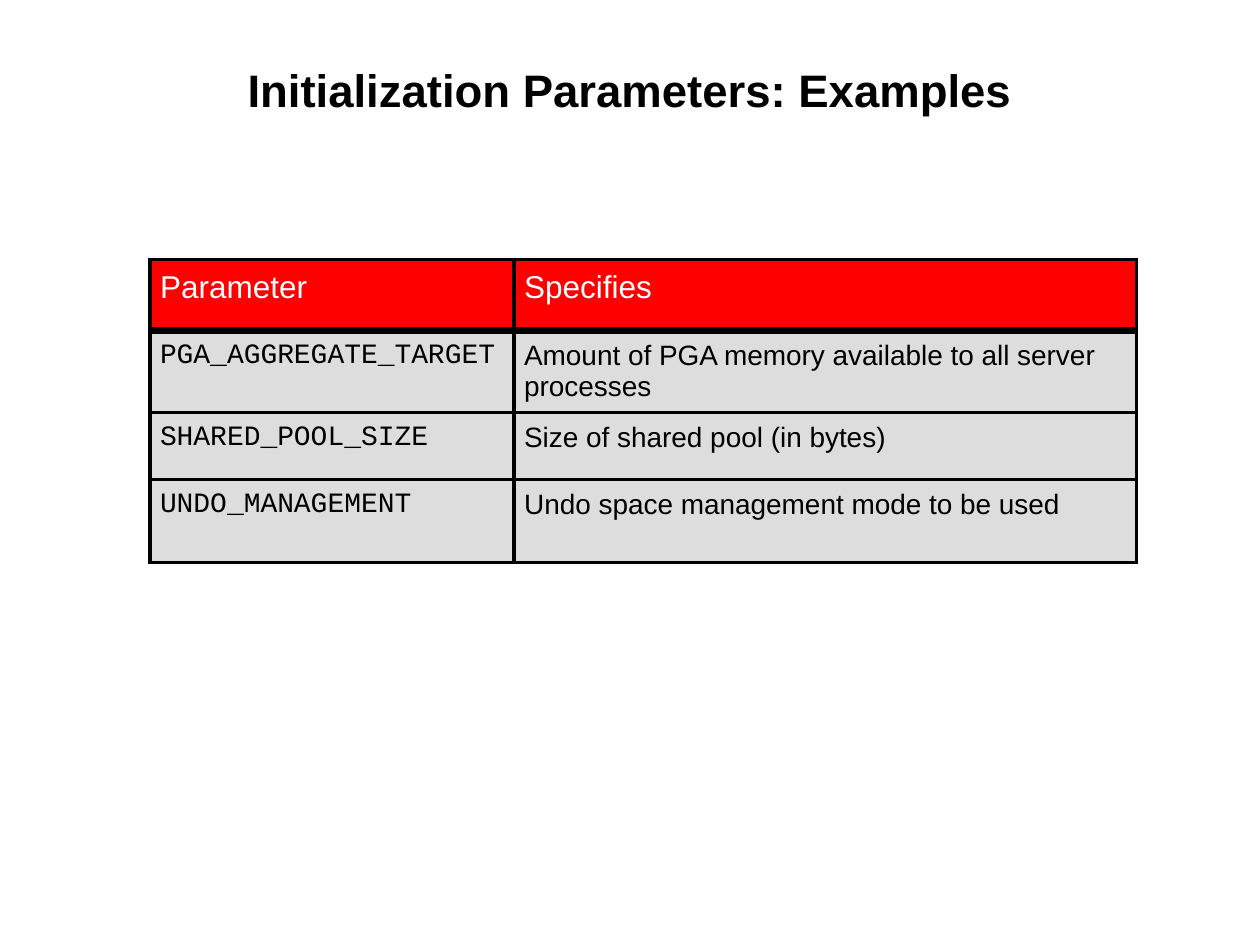
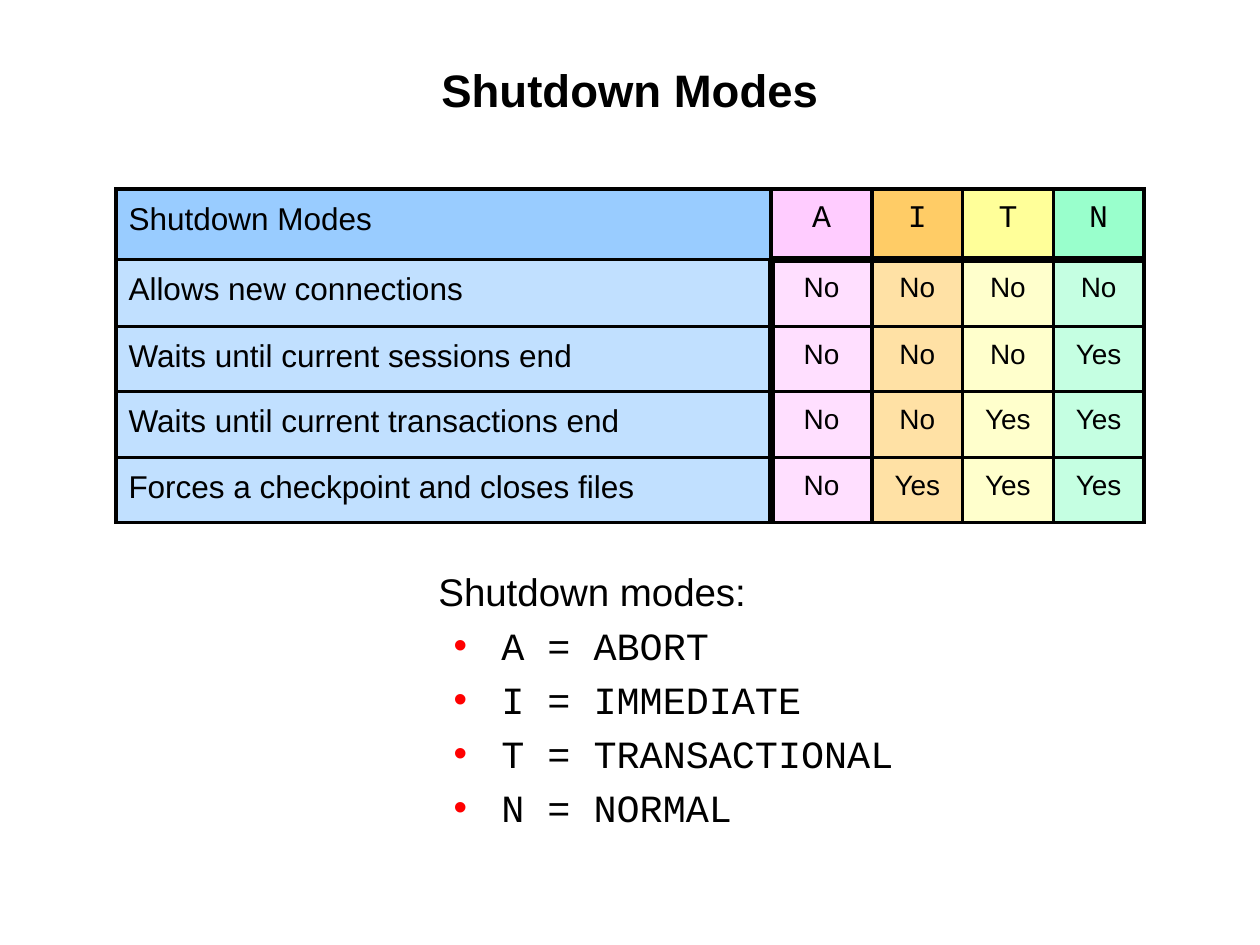
from lxml.etree import SubElement
from pptx import Presentation
from pptx.dml.color import RGBColor
from pptx.enum.text import MSO_ANCHOR, MSO_AUTO_SIZE, PP_ALIGN
from pptx.oxml import parse_xml
from pptx.oxml.ns import nsdecls, qn
from pptx.util import Inches, Pt

COLORS = {
    "text": "000000",
    "header_text": "FFFFFF",
    "header": "FF0000",
    "body": "DDDDDD",
    "bullet": "FF0000",
    "border": "000000",
}
# Header and body fill of each column of the shutdown table
MODE_FILLS = [
    ("99CCFF", "C1E0FF"),
    ("FFCCFF", "FFDFFF"),
    ("FFCC66", "FFE1A5"),
    ("FFFF99", "FFFFCC"),
    ("99FFCC", "C5FFE2"),
]
SANS, MONO = "Arial", "Courier New"
THIN, THICK = Pt(2.25), Pt(4.5)


def format_paragraph(paragraph, size, font=SANS, color=COLORS["text"],
                     alignment=PP_ALIGN.LEFT, bold=False, bullet=False):
    """Apply the shared 20 % space before, an optional bullet and the font."""
    paragraph.alignment = alignment
    properties = paragraph._p.get_or_add_pPr()
    spacing = SubElement(properties, qn("a:spcBef"))
    SubElement(spacing, qn("a:spcPct"), val="20000")
    if bullet:
        paragraph.level = 1
        properties.set("marL", str(Inches(0.5)))
        properties.set("indent", str(Inches(-0.38)))
        bullet_color = SubElement(properties, qn("a:buClr"))
        SubElement(bullet_color, qn("a:srgbClr"), val=COLORS["bullet"])
        SubElement(properties, qn("a:buFont"), typeface=SANS)
        SubElement(properties, qn("a:buChar"), char="•")
    paragraph.font.size = Pt(size)
    paragraph.font.name = font
    paragraph.font.bold = bold
    paragraph.font.color.rgb = RGBColor.from_string(color)


def fill_cell(cell, text, margin, fill, thick_sides, **paragraph_style):
    """Write a cell; thick_sides holds the letters (L, R, T, B) of heavy borders."""
    cell.margin_left = cell.margin_right = Inches(margin)
    cell.margin_top = cell.margin_bottom = Inches(margin)
    cell.text = text
    format_paragraph(cell.text_frame.paragraphs[0], **paragraph_style)
    for side in "LRTB":
        width = THICK if side in thick_sides else THIN
        cell._tc.get_or_add_tcPr().append(parse_xml(
            f'<a:ln{side} {nsdecls("a")} w="{width}"><a:solidFill>'
            f'<a:srgbClr val="{COLORS["border"]}"/></a:solidFill></a:ln{side}>'))
    cell.fill.solid()
    cell.fill.fore_color.rgb = RGBColor.from_string(fill)


presentation = Presentation()
presentation.slide_width, presentation.slide_height = Inches(10), Inches(7.5)

# Slides with their titles and empty tables
parameter_rows = [
    ("Parameter", "Specifies"),
    ("PGA_AGGREGATE_TARGET", "Amount of PGA memory available to all server processes"),
    ("SHARED_POOL_SIZE", "Size of shared pool (in bytes)"),
    ("UNDO_MANAGEMENT", "Undo space management mode to be used"),
]
mode_rows = [
    ("Shutdown Modes", "A", "I", "T", "N"),
    ("Allows new connections", "No", "No", "No", "No"),
    ("Waits until current sessions end", "No", "No", "No", "Yes"),
    ("Waits until current transactions end", "No", "No", "Yes", "Yes"),
    ("Forces a checkpoint and closes files", "No", "Yes", "Yes", "Yes"),
]
mode_names = ["ABORT", "IMMEDIATE", "TRANSACTIONAL", "NORMAL"]
layouts = [
    ("Initialization Parameters: Examples", parameter_rows, (1.19, 2.06),
     [2.89, 4.94], [0.56, 0.52, 0.53, 0.66]),
    ("Shutdown Modes", mode_rows, (0.92, 1.5),
     [5.2, 0.8, 0.72, 0.72, 0.72], [0.56, 0.53, 0.52, 0.52, 0.52]),
]
tables = []
for title_text, rows, (left, top), column_widths, row_heights in layouts:
    slide = presentation.slides.add_slide(presentation.slide_layouts[5])
    title = slide.shapes.title
    title.left, title.top = Inches(0.67), Inches(0.48)
    title.width, title.height = Inches(8.66), Inches(0.96)
    frame = title.text_frame
    frame.text = title_text
    frame.margin_left = frame.margin_right = Inches(0.01)
    frame.margin_top = frame.margin_bottom = Inches(0.01)
    frame.vertical_anchor = MSO_ANCHOR.TOP
    frame.auto_size = MSO_AUTO_SIZE.NONE
    format_paragraph(frame.paragraphs[0], 26, alignment=PP_ALIGN.CENTER, bold=True)

    if rows is mode_rows:
        legend = slide.shapes.add_textbox(
            Inches(3.47), Inches(4.5), Inches(3.9), Inches(2.18))
        frame = legend.text_frame
        frame.word_wrap = True
        frame.auto_size = MSO_AUTO_SIZE.SHAPE_TO_FIT_TEXT
        frame.margin_left = frame.margin_right = Inches(0.01)
        frame.margin_top = frame.margin_bottom = Inches(0.01)
        frame.text = "Shutdown modes:"
        format_paragraph(frame.paragraphs[0], 22)
        for name in mode_names:
            paragraph = frame.add_paragraph()
            paragraph.text = f"{name[0]} = {name}"
            format_paragraph(paragraph, 22, font=MONO, bullet=True)

    table = slide.shapes.add_table(
        len(rows), len(column_widths), Inches(left), Inches(top),
        Inches(sum(column_widths)), Inches(sum(row_heights))).table
    table.first_row = table.horz_banding = False
    for column, width in zip(table.columns, column_widths):
        column.width = Inches(width)
    for row, height in zip(table.rows, row_heights):
        row.height = Inches(height)
    tables.append(table)

parameter_table, mode_table = tables

# Initialization parameters: heavy line below the header
for row_index, row in enumerate(parameter_rows):
    for column_index, text in enumerate(row):
        is_header = row_index == 0
        fill_cell(
            parameter_table.cell(row_index, column_index), text, margin=0.08,
            fill=COLORS["header" if is_header else "body"],
            thick_sides={0: "B", 1: "T"}.get(row_index, ""),
            size=18 if is_header else 16,
            font=MONO if column_index == 0 and not is_header else SANS,
            color=COLORS["header_text" if is_header else "text"])

# Shutdown modes: heavy lines around the block of answers
for row_index, row in enumerate(mode_rows):
    for column_index, text in enumerate(row):
        is_header, is_label = row_index == 0, column_index == 0
        thick_sides = ""
        if not is_label:
            thick_sides += {0: "B", 1: "T"}.get(row_index, "")
        if not is_header:
            thick_sides += {0: "R", 1: "L"}.get(column_index, "")
        fill_cell(
            mode_table.cell(row_index, column_index), text, margin=0.1,
            fill=MODE_FILLS[column_index][0 if is_header else 1],
            thick_sides=thick_sides,
            size=18 if is_header or is_label else 16,
            font=MONO if is_header and not is_label else SANS,
            alignment=PP_ALIGN.LEFT if is_label else PP_ALIGN.CENTER)

presentation.save("out.pptx")
